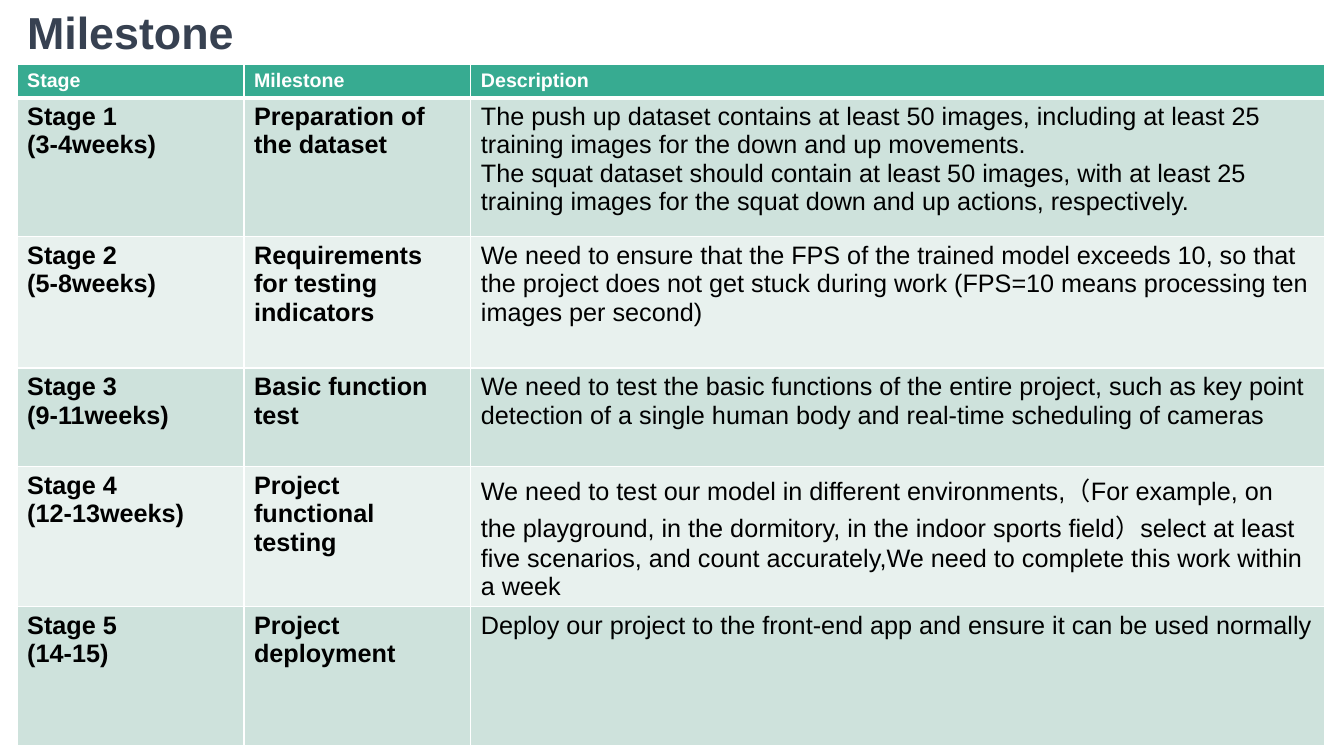
"""Build the project milestone slide with its stage table."""
from dataclasses import dataclass

from lxml.etree import SubElement
from pptx import Presentation
from pptx.dml.color import RGBColor
from pptx.oxml.ns import qn
from pptx.table import _Cell
from pptx.text.text import TextFrame
from pptx.util import Inches, Pt

COLORS = {
    "title": "374151",
    "header": "37AB91",
    "odd": "CEE2DC",
    "even": "E8F1EE",
    "white": "FFFFFF",
    "black": "000000",
}
TITLE_FORMAT = {"name": "Arial", "size": Pt(32), "bold": True}
HEADER_FORMAT = {"name": "Arial", "size": Pt(14), "bold": True}
LABEL_FORMAT = {"name": "Arial", "size": Pt(18), "bold": True}
DESCRIPTION_FORMAT = {"name": "Arial", "size": Pt(18), "bold": False}

HEADINGS = ("Stage", "Milestone", "Description")
COLUMN_WIDTHS = (2.25, 2.25, 8.47)
HEADER_HEIGHT = 0.33


@dataclass(frozen=True)
class Stage:
    weeks: str
    milestone: str
    description: tuple[str, ...]
    height: float


STAGES = (
    Stage("(3-4weeks)", "Preparation of the dataset", (
        "The push up dataset contains at least 50 images, including at least 25 "
        "training images for the down and up movements.",
        "The squat dataset should contain at least 50 images, with at least 25 "
        "training images for the squat down and up actions, respectively.",
    ), 1.38),
    Stage("(5-8weeks)", "Requirements for testing indicators", (
        "We need to ensure that the FPS of the trained model exceeds 10, so that "
        "the project does not get stuck during work (FPS=10 means processing ten "
        "images per second)",
    ), 1.3),
    Stage("(9-11weeks)", "Basic function test", (
        "We need to test the basic functions of the entire project, such as key "
        "point detection of a single human body and real-time scheduling of cameras",
    ), 0.98),
    Stage("(12-13weeks)", "Project functional testing", (
        "We need to test our model in different environments,（For example, on the "
        "playground, in the dormitory, in the indoor sports field）select at least "
        "five scenarios, and count accurately,We need to complete this work within "
        "a week",
    ), 1.39),
    Stage("(14-15)", "Project deployment", (
        "Deploy our project to the front-end app and ensure it can be used normally",
    ), 1.38),
)


def write_lines(frame: TextFrame, lines: tuple[str, ...], style: dict, color: str) -> None:
    frame.text = "\n".join(lines)
    for paragraph in frame.paragraphs:
        for run in paragraph.runs:
            for attribute, value in style.items():
                setattr(run.font, attribute, value)
            run.font.color.rgb = RGBColor.from_string(COLORS[color])


def draw_borders(cell: _Cell, top: float, bottom: float) -> None:
    properties = cell._tc.get_or_add_tcPr()
    for side, width in {"lnL": 1, "lnR": 1, "lnT": top, "lnB": bottom}.items():
        border = SubElement(properties, qn(f"a:{side}"), w=str(Pt(width)))
        fill = SubElement(border, qn("a:solidFill"))
        SubElement(fill, qn("a:srgbClr"), val=COLORS["white"])


def fill_cell(cell: _Cell, lines: tuple[str, ...], style: dict, color: str,
              background: str, top: float = 1, bottom: float = 1) -> None:
    draw_borders(cell, top, bottom)
    cell.fill.solid()
    cell.fill.fore_color.rgb = RGBColor.from_string(COLORS[background])
    write_lines(cell.text_frame, lines, style, color)


def main() -> None:
    presentation = Presentation()
    presentation.slide_width = Inches(13.33)
    presentation.slide_height = Inches(7.5)
    slide = presentation.slides.add_slide(presentation.slide_layouts[6])

    heights = (HEADER_HEIGHT, *(stage.height for stage in STAGES))
    schedule = slide.shapes.add_table(
        len(heights), len(HEADINGS), Inches(0.17), Inches(0.64),
        Inches(sum(COLUMN_WIDTHS)), Inches(sum(heights))).table
    for column, width in zip(schedule.columns, COLUMN_WIDTHS):
        column.width = Inches(width)
    for row, height in zip(schedule.rows, heights):
        row.height = Inches(height)

    for column, heading in enumerate(HEADINGS):
        fill_cell(schedule.cell(0, column), (heading,), HEADER_FORMAT,
                  "white", "header", bottom=3)
    for number, stage in enumerate(STAGES, start=1):
        contents = (
            ((f"Stage {number}", stage.weeks), LABEL_FORMAT),
            ((stage.milestone,), LABEL_FORMAT),
            (stage.description, DESCRIPTION_FORMAT),
        )
        for column, (lines, style) in enumerate(contents):
            fill_cell(schedule.cell(number, column), lines, style, "black",
                      "odd" if number % 2 else "even", top=3 if number == 1 else 1)

    title = slide.shapes.add_textbox(Inches(0.17), Inches(0), Inches(4.82), Inches(0.64))
    title.text_frame.word_wrap = True
    write_lines(title.text_frame, ("Milestone",), TITLE_FORMAT, "title")

    presentation.save("out.pptx")


if __name__ == "__main__":
    main()
